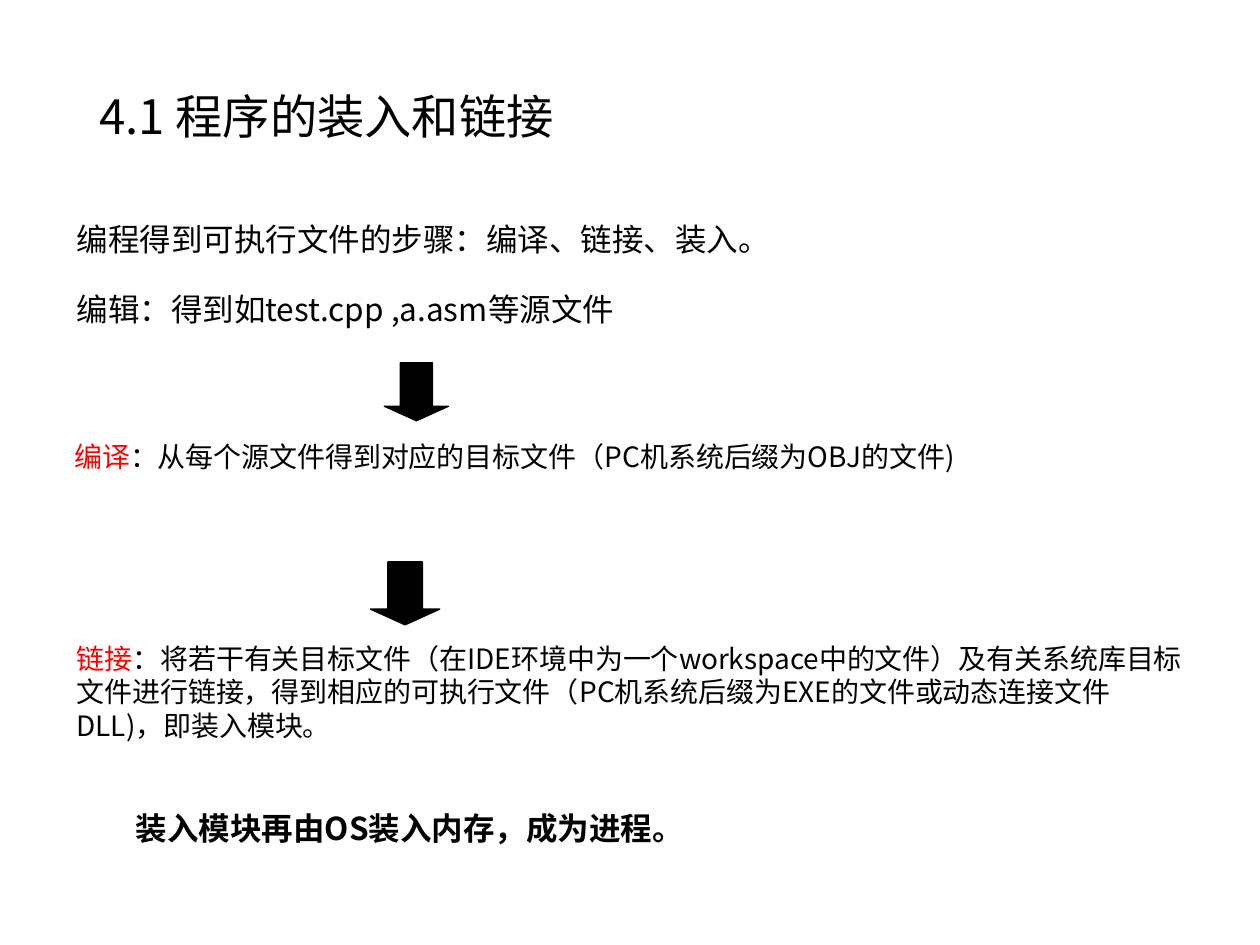
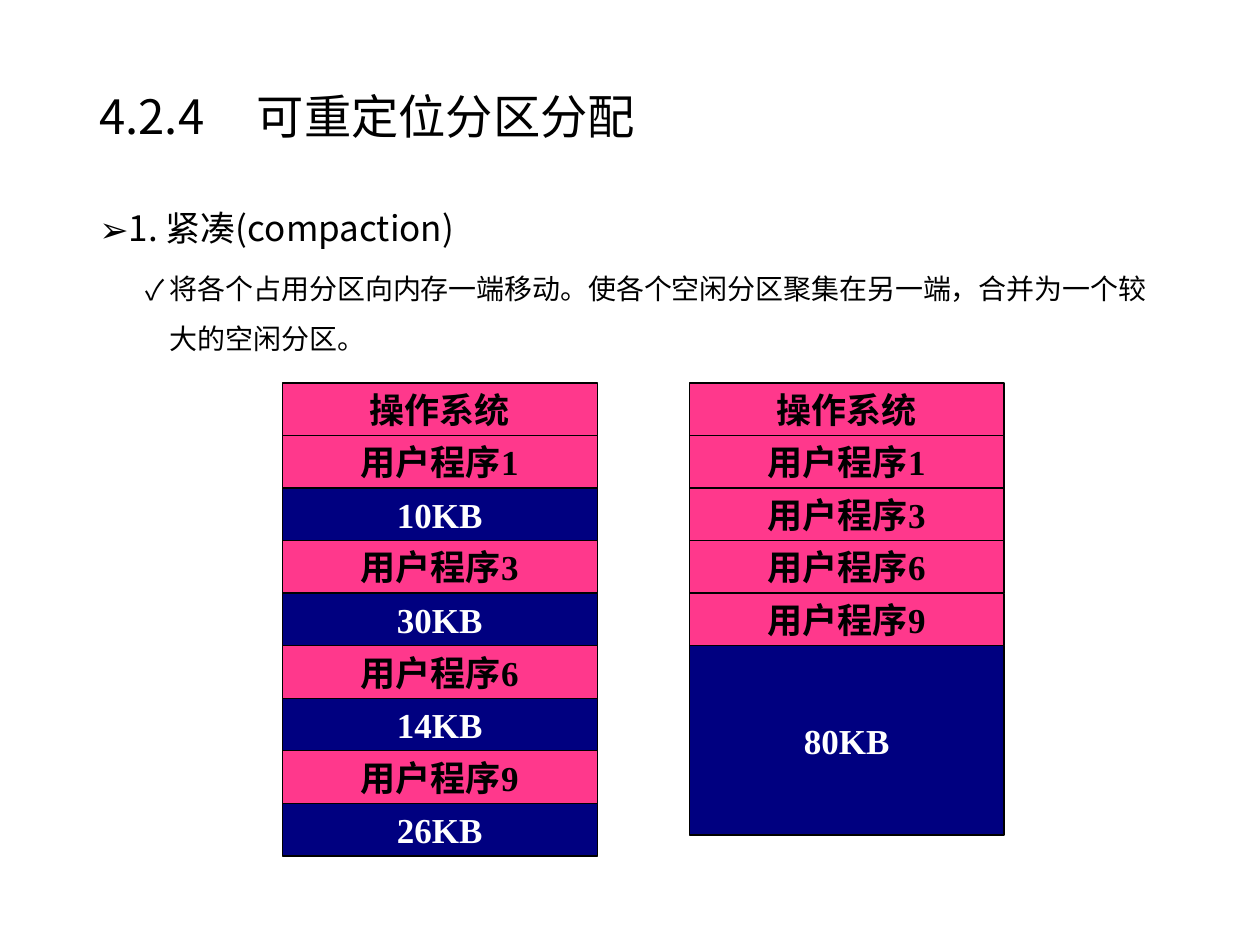
from lxml import etree
from pptx import Presentation
from pptx.dml.color import RGBColor
from pptx.enum.shapes import MSO_SHAPE
from pptx.enum.text import MSO_ANCHOR, PP_ALIGN
from pptx.oxml.ns import qn
from pptx.util import Inches, Pt

TOP, MIDDLE = MSO_ANCHOR.TOP, MSO_ANCHOR.MIDDLE
LEFT, CENTER = PP_ALIGN.LEFT, PP_ALIGN.CENTER
RECTANGLE, DOWN_ARROW = MSO_SHAPE.RECTANGLE, MSO_SHAPE.DOWN_ARROW

BLACK, WHITE, RED = "000000", "FFFFFF", "FF0000"
PINK, NAVY = "FF388C", "000080"
SANS, SERIF = "Noto Sans CJK SC", "Times New Roman"

deck = Presentation()
deck.slide_width, deck.slide_height = Inches(10), Inches(7.5)
# The grid has 100 columns and 75 rows
COLUMN, ROW = deck.slide_width / 100, deck.slide_height / 75
TITLE_PLACE = (6.9, 4, 86.2, 10.9)


def color(hex_value):
    return RGBColor.from_string(hex_value)


def add_box(page, place, paragraphs=(), preset=None, fill=BLACK, size=16, font=SANS,
            bold=False, anchor=TOP, align=LEFT, spacing=1.0, before=0, wrap=True):
    """Add a text box or preset shape; each paragraph is a list of (text, colour)."""
    left, top, width, height = place
    bounds = [int(length) for length in
              (left * COLUMN, top * ROW, width * COLUMN, height * ROW)]
    if preset is None:
        box = page.shapes.add_textbox(*bounds)
    else:
        box = page.shapes.add_shape(preset, *bounds)
        box.shadow.inherit = False
        box.fill.solid()
        box.fill.fore_color.rgb = color(fill)
        box.line.color.rgb = color(BLACK)
        box.line.width = Pt(0.75)
    frame = box.text_frame
    frame.word_wrap = wrap
    frame.vertical_anchor = anchor
    for index, runs in enumerate(paragraphs):
        para = frame.add_paragraph() if index else frame.paragraphs[0]
        para.alignment = align
        para.line_spacing = spacing
        para.space_before = Pt(before)
        for text, text_color in runs:
            span = para.add_run()
            span.text = text
            span.font.name = font
            span.font.size = Pt(size)
            span.font.bold = bold
            span.font.color.rgb = color(text_color)
            east_asian = etree.SubElement(span.font._element, qn("a:ea"))
            east_asian.set("typeface", SANS)
    return box


# Both slides and their titles
pages = []
for title in ("4.1 程序的装入和链接", "4.2.4\t可重定位分区分配"):
    page = deck.slides.add_slide(deck.slide_layouts[6])
    box = add_box(page, TITLE_PLACE, [[(title, BLACK)]], size=27,
                  anchor=MIDDLE, spacing=0.9)
    tabs = etree.SubElement(box.text_frame.paragraphs[0]._p.get_or_add_pPr(), qn("a:tabLst"))
    etree.SubElement(tabs, qn("a:tab"), pos=str(Inches(1.25)), algn="l")
    pages.append(page)
steps_page, compaction_page = pages

# Steps from source file to process
add_box(steps_page, (5.1, 15.5, 74.7, 11.1),
        [[("编程得到可执行文件的步骤：编译、链接、装入。", BLACK)],
         [("编辑：得到如test.cpp ,a.asm等源文件", BLACK)]],
        size=18, spacing=1.5, before=7.5)
add_box(steps_page, (4.9, 34.4, 87.2, 3.7),
        [[("编译", RED),
          ("：从每个源文件得到对应的目标文件（PC机系统后缀为OBJ的文件)", BLACK)]])
add_box(steps_page, (5.1, 50.4, 90.3, 9.1),
        [[("链接", RED),
          ("：将若干有关目标文件（在IDE环境中为一个workspace中的文件）及有关系统库"
           "目标文件进行链接，得到相应的可执行文件（PC机系统后缀为EXE的文件或动态连接文件"
           "DLL)，即装入模块。", BLACK)]])
add_box(steps_page, (9.8, 64.3, 45.6, 3.4),
        [[("装入模块再由OS装入内存，成为进程。", BLACK)]],
        size=18, bold=True, spacing=0.8, wrap=False)

# Arrows between the steps
for arrow_place in ((30.5, 28.8, 5.1, 4.6), (29.4, 44.6, 5.5, 5)):
    arrow = add_box(steps_page, arrow_place, preset=DOWN_ARROW)
    arrow.adjustments[0] = 0.5
    arrow.adjustments[1] = 0.25

# Bulleted explanation of compaction
box = add_box(compaction_page, (6.9, 14.2, 86.2, 53.4),
              [[("1. 紧凑(compaction)", BLACK)],
               [("将各个占用分区向内存一端移动。使各个空闲分区聚集在另一端，"
                 "合并为一个较大的空闲分区。", BLACK)]], spacing=1.5)
bullets = (("➢", 0.19, 20, 7.5), ("✓", 0.56, 16, 3.8))
for para, (mark, indent, size, before) in zip(box.text_frame.paragraphs, bullets):
    para.space_before = Pt(before)
    para.runs[0].font.size = Pt(size)
    properties = para._p.get_or_add_pPr()
    properties.set("marL", str(Inches(indent)))
    properties.set("indent", str(Inches(-0.19)))
    etree.SubElement(properties, qn("a:buFont"), typeface=SANS)
    etree.SubElement(properties, qn("a:buChar"), char=mark)

# Memory before and after compaction: label and height in partitions
PARTITION = 4.17
before_moving = [("操作系统", 1), ("用户程序1", 1), ("10KB", 1), ("用户程序3", 1),
                 ("30KB", 1), ("用户程序6", 1), ("14KB", 1), ("用户程序9", 1), ("26KB", 1)]
after_moving = [("操作系统", 1), ("用户程序1", 1), ("用户程序3", 1), ("用户程序6", 1),
                ("用户程序9", 1), ("80KB", 3.6)]
for left, memory in ((22.4, before_moving), (54.7, after_moving)):
    top = 30.4
    for label, share in memory:
        is_free = label.endswith("KB")
        height = share * PARTITION
        add_box(compaction_page, (left, top, 25, height),
                [[(label, WHITE if is_free else BLACK)]], preset=RECTANGLE,
                fill=NAVY if is_free else PINK, size=20, font=SERIF, bold=True,
                anchor=MIDDLE, align=CENTER, wrap=False)
        top += height

deck.save("out.pptx")
